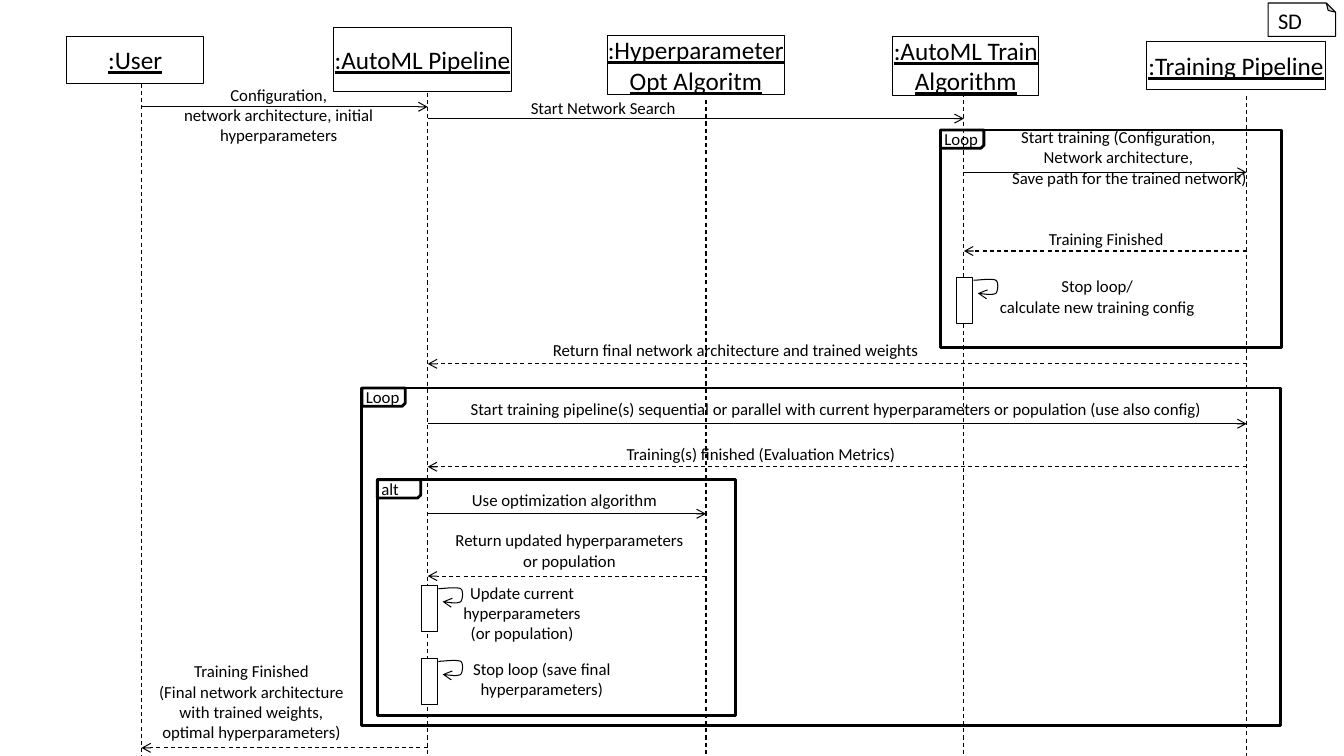
from lxml.etree import SubElement
from pptx import Presentation
from pptx.dml.color import RGBColor
from pptx.enum.dml import MSO_LINE
from pptx.enum.shapes import MSO_CONNECTOR, MSO_SHAPE as Preset
from pptx.enum.text import MSO_ANCHOR as Anchor, PP_ALIGN as Align
from pptx.oxml.ns import qn
from pptx.util import Pt

INK, PAPER = "000000", "FFFFFF"
THIN, THICK = 0.74, 2
USER, PIPELINE, OPTIMIZER, TRAINER, TRAINING = 101, 305.5, 504.3, 688.5, 890.5


def colour(hex_text):
    return RGBColor.from_string(hex_text)


def points(*values):
    return [Pt(value) for value in values]


# Basic parts
def outline(shape, width=THIN, fill=None):
    shape.shadow.inherit = False
    shape.line.color.rgb = colour(INK)
    shape.line.width = Pt(width)
    if fill:
        shape.fill.solid()
        shape.fill.fore_color.rgb = colour(fill)
    else:
        shape.fill.background()


def add_box(page, box, preset=Preset.RECTANGLE, width=THIN, fill=None):
    shape = page.shapes.add_shape(preset, *points(*box))
    outline(shape, width, fill)
    return shape


def flip_vertically(shape):
    shape._element.spPr.find(qn("a:xfrm")).set("flipV", "1")


def add_arrowhead(shape):
    stroke = shape._element.spPr.find(qn("a:ln"))
    SubElement(stroke, qn("a:tailEnd"), type="arrow")


def write(shape, text, size=12, align=Align.CENTER, underline=None):
    frame = shape.text_frame
    frame.text = text
    for para in frame.paragraphs:
        para.alignment = align
        for span in para.runs:
            span.font.name = "Calibri"
            span.font.size = Pt(size)
            span.font.underline = underline
            span.font.color.rgb = colour(INK)
    return frame


def add_label(page, box, text, align=Align.CENTER):
    label = page.shapes.add_textbox(*points(*box))
    label.text_frame.word_wrap = True
    return write(label, text, align=align)


def add_line(page, start, end, dashed=False, arrow=False):
    line = page.shapes.add_connector(MSO_CONNECTOR.STRAIGHT, *points(*start, *end))
    line.line.color.rgb = colour(INK)
    line.line.width = Pt(THIN)
    if dashed:
        line.line.dash_style = MSO_LINE.DASH
    if arrow:
        add_arrowhead(line)
    SubElement(line._element.spPr, qn("a:effectLst"))


# Regions of the sequence diagram
def add_participant(page, box, name, axis, life_top):
    head = add_box(page, box, fill=PAPER)
    frame = write(head, name, 18, underline=True)
    frame.word_wrap = False
    frame.vertical_anchor = Anchor.MIDDLE
    add_line(page, (axis, life_top), (axis, 540), dashed=True)


def add_fragment(page, box, name):
    left, top = box[:2]
    add_box(page, box, width=THICK)
    tab = add_box(page, (left, top, 31, 13), Preset.SNIP_1_RECTANGLE, THICK)
    flip_vertically(tab)
    add_label(page, (left - 4.3, top - 4.3, 39, 21.8), name, Align.LEFT)


def add_message(page, source, target, y, box, text, dashed=False):
    add_line(page, (source, y), (target, y), dashed, arrow=True)
    return add_label(page, box, text)


def bezier(p0, p1, p2, p3, steps=10):
    for step in range(1, steps + 1):
        t = step / steps
        u = 1 - t
        yield tuple(u**3 * a + 3 * u * u * t * b + 3 * u * t * t * c + t**3 * d
                    for a, b, c, d in zip(p0, p1, p2, p3))


def add_self_call(page, left, top, box, text):
    add_box(page, (left, top, 11.5, 33), fill=PAPER)
    knots = [(left + x, top + y) for x, y in (
        (12.2, 2.2), (15.1, 2.2), (25.2, 0.7), (28.1, 2.2), (30.2, 3.6),
        (29.5, 10.1), (28.1, 11.5), (25.9, 13), (20.2, 12.2), (15.1, 11.5))]
    builder = page.shapes.build_freeform(*points(*knots[0]))
    curve = [points(*spot) for i in (0, 3, 6) for spot in bezier(*knots[i:i + 4])]
    builder.add_line_segments(curve, close=False)
    loop = builder.convert_to_shape()
    outline(loop)
    add_arrowhead(loop)
    add_label(page, box, text)


def add_diagram_tag(page, box, text):
    tag = add_box(page, box, Preset.FOLDED_CORNER, fill=PAPER)
    # Size of the fold, which has no public adjustment
    guides = tag._element.spPr.find(qn("a:prstGeom")).find(qn("a:avLst"))
    SubElement(guides, qn("a:gd"), name="adj", fmla="val 27600")
    flip_vertically(tag)
    frame = write(tag, text, 16, Align.LEFT)
    frame.word_wrap = False
    frame.vertical_anchor = Anchor.MIDDLE
    frame.paragraphs[0].line_spacing = 0.7
    # Turn the text upright inside the flipped shape
    frame._txBody.bodyPr.set("rot", "10800000")


deck = Presentation()
deck.slide_width, deck.slide_height = points(960, 540)
page = deck.slides.add_slide(deck.slide_layouts[6])

# Participants with their lifelines
for participant in (
    ((47.5, 26, 98, 33.5), ":User", USER, 59.8),
    ((238.3, 19.5, 127, 46), ":AutoML Pipeline", PIPELINE, 66.2),
    ((433.7, 25.3, 126.7, 42.3), ":Hyperparameter\nOpt Algoritm", OPTIMIZER, 71.3),
    ((637.7, 26, 104.3, 42), ":AutoML Train\nAlgorithm", TRAINER, 66.2),
    ((819, 29.5, 127.7, 34.6), ":Training Pipeline", TRAINING, 68.4),
):
    add_participant(page, *participant)
add_diagram_tag(page, (905.8, 2.2, 48.2, 23.8), "SD")

# Loop and alternative fragments
for box, name in (
    ((671.8, 92.9, 243.4, 155.5), "Loop"),
    ((258.5, 277.2, 656, 241.2), "Loop"),
    ((269.6, 342.7, 255.8, 168.5), "alt"),
):
    add_fragment(page, box, name)

# Calls
for call in (
    (USER, PIPELINE, 76.3, (122.4, 56.9, 153.4, 51),
     "Configuration,\nnetwork architecture, initial hyperparameters"),
    (PIPELINE, TRAINER, 84.7, (354.2, 66.2, 153.4, 21.8), "Start Network Search"),
    (PIPELINE, TRAINING, 302.7, (308.9, 281.5, 576.7, 21.8),
     "Start training pipeline(s) sequential or parallel with current "
     "hyperparameters or population (use also config)"),
    (PIPELINE, OPTIMIZER, 367, (316.8, 346.3, 172.8, 21.8),
     "Use optimization algorithm"),
):
    add_message(page, *call)
start = add_message(
    page, TRAINER, TRAINING, 123.1, (679, 87.1, 239.8, 51),
    "Start training (Configuration,\nNetwork architecture,\n"
    "Save path for the trained network)")
start.paragraphs[2]._p.get_or_add_pPr().set("marL", str(Pt(16)))

# Replies
for reply in (
    (TRAINING, TRAINER, 179.3, (713.5, 159.8, 153.4, 21.8), "Training Finished"),
    (TRAINING, PIPELINE, 259.9, (381.6, 239, 288, 21.8),
     "Return final network architecture and trained weights"),
    (TRAINING, PIPELINE, 333.4, (417.6, 313.2, 252, 21.8),
     "Training(s) finished (Evaluation Metrics)"),
    (OPTIMIZER, PIPELINE, 411.5, (316.8, 375.1, 180, 36.3),
     "Return updated hyperparameters or population"),
    (PIPELINE, USER, 534.2, (100.8, 468.7, 157.7, 65.5),
     "Training Finished\n(Final network architecture\n"
     "with trained weights,\noptimal hyperparameters)"),
):
    add_message(page, *reply, dashed=True)

# Self calls
for self_call in (
    (683.3, 198, (686.2, 193.7, 195.1, 36.3),
     "Stop loop/\ncalculate new training config"),
    (301, 418.3, (321.1, 412.6, 103.7, 50.8),
     "Update current\nhyperparameters\n(or population)"),
    (301, 470.2, (326.2, 466.6, 121.7, 36.3),
     "Stop loop (save final hyperparameters)"),
):
    add_self_call(page, *self_call)

deck.save("out.pptx")
